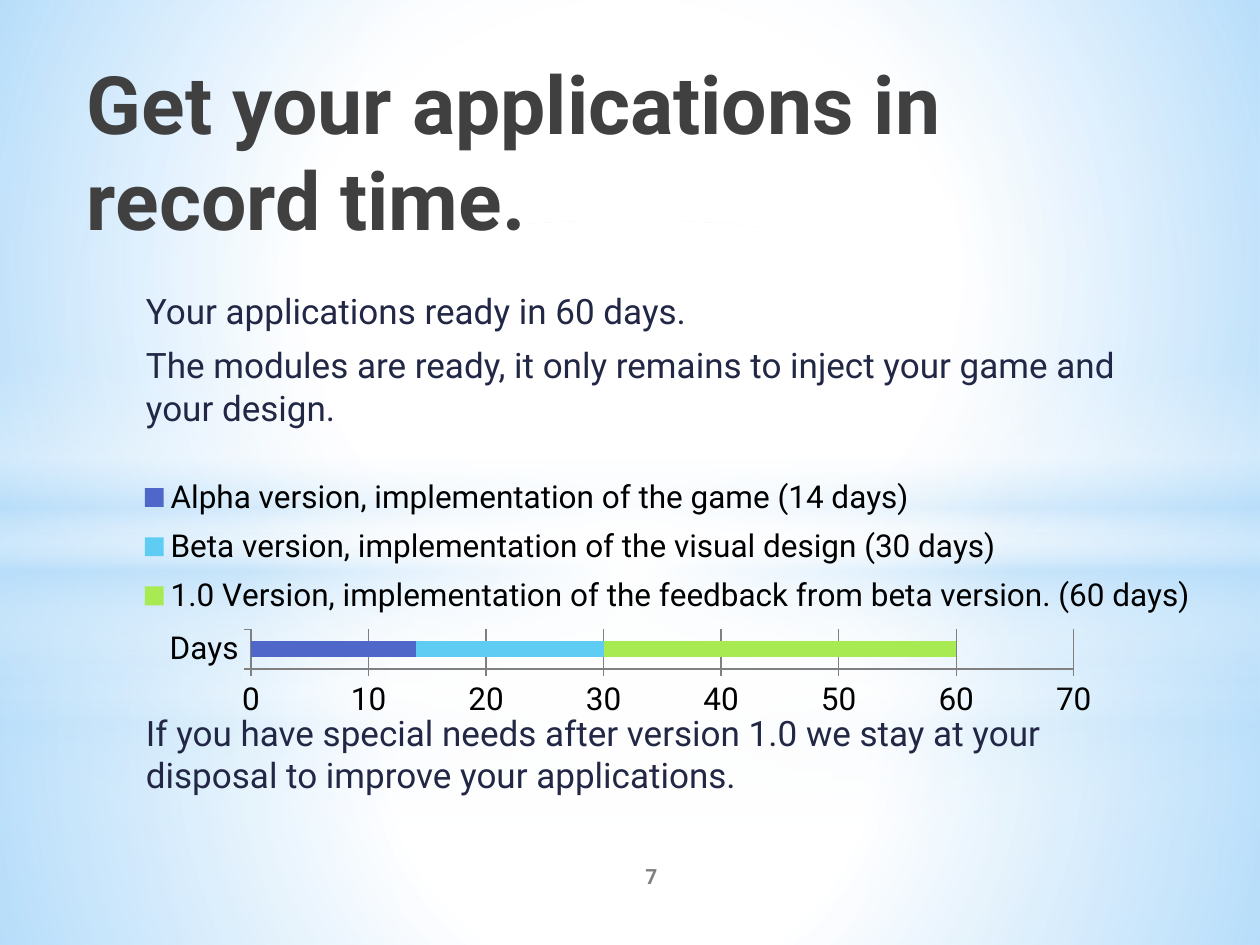
from dataclasses import dataclass

from pptx import Presentation
from pptx.chart.data import CategoryChartData
from pptx.dml.color import RGBColor
from pptx.enum.chart import XL_CHART_TYPE, XL_LEGEND_POSITION, XL_TICK_MARK
from pptx.enum.shapes import MSO_SHAPE
from pptx.enum.text import MSO_ANCHOR, PP_ALIGN
from pptx.oxml import parse_xml
from pptx.oxml.ns import nsdecls
from pptx.util import Pt

RECTANGLE, OVAL = MSO_SHAPE.RECTANGLE, MSO_SHAPE.OVAL
LEFT, CENTER = PP_ALIGN.LEFT, PP_ALIGN.CENTER
TOP, MIDDLE, BOTTOM = MSO_ANCHOR.TOP, MSO_ANCHOR.MIDDLE, MSO_ANCHOR.BOTTOM
STACKED_BAR = XL_CHART_TYPE.BAR_STACKED
LEGEND_RIGHT = XL_LEGEND_POSITION.RIGHT
TICK_OUTSIDE = XL_TICK_MARK.OUTSIDE

FONT = "Roboto"
WHITE = RGBColor(0xFF, 0xFF, 0xFF)
SKY = RGBColor(0xB4, 0xDC, 0xFA)
BLACK = RGBColor(0x00, 0x00, 0x00)
CHARCOAL = RGBColor(0x40, 0x40, 0x40)
NAVY = RGBColor(0x21, 0x27, 0x45)
GRAY = RGBColor(0x80, 0x80, 0x80)
INDIGO = RGBColor(0x4E, 0x67, 0xC8)
CYAN = RGBColor(0x5E, 0xCC, 0xF3)
LIME = RGBColor(0xA7, 0xEA, 0x52)

RADIAL = ('<a:path path="circle"><a:fillToRect l="50000" t="50000" '
          'r="50000" b="50000"/></a:path>')
VERTICAL = '<a:lin ang="5400000" scaled="0"/>'


@dataclass
class Stop:
    position: int
    color: RGBColor
    opacity: int


@dataclass
class Glow:
    geometry: MSO_SHAPE
    top: float
    height: float
    direction: str
    stops: list[Stop]


@dataclass
class TextStyle:
    size: float
    color: RGBColor
    bold: bool = False
    alignment: PP_ALIGN = LEFT
    anchor: MSO_ANCHOR = TOP
    space_before: float = 0
    space_after: float = 0


@dataclass
class Phase:
    name: str
    days: int
    color: RGBColor


def radial_glow(top: float, height: float, middle: int,
                opacities: tuple[int, int, int]) -> Glow:
    stops = [Stop(*stop) for stop in
             zip((0, middle, 100), (WHITE, WHITE, SKY), opacities)]
    return Glow(RECTANGLE, top, height, RADIAL, stops)


def band(top: float) -> Glow:
    stops = [Stop(0, WHITE, 0), Stop(29, WHITE, 30), Stop(45, SKY, 40),
             Stop(55, WHITE, 26), Stop(65, SKY, 60), Stop(100, WHITE, 0)]
    return Glow(RECTANGLE, top, 180, VERTICAL, stops)


def halo(edge: int) -> Glow:
    return Glow(OVAL, 126, 401.76, RADIAL,
                [Stop(0, WHITE, 100), Stop(edge, WHITE, 0)])


BACKGROUND = [
    radial_glow(401.76, 138.24, 37, (91, 76, 79)),
    radial_glow(0, 401.76, 48, (89, 62, 79)),
    band(296.64),
    halo(56),
    radial_glow(304.56, 235.44, 37, (92, 77, 80)),
    radial_glow(0, 304.56, 48, (90, 63, 80)),
    band(208.8),
    halo(54),
]

PHASES = [
    Phase("Alpha version, implementation of the game (14 days)", 14, INDIGO),
    Phase("Beta version, implementation of the visual design (30 days)", 16, CYAN),
    Phase("1.0 Version, implementation of the feedback from beta version. (60 days)",
          30, LIME),
]

TITLE_STYLE = TextStyle(46, CHARCOAL, bold=True, anchor=BOTTOM)
BODY_STYLE = TextStyle(20, NAVY, space_before=4, space_after=3)
NUMBER_STYLE = TextStyle(12, GRAY, bold=True, alignment=CENTER, anchor=MIDDLE)


def add_glow(slide, glow: Glow) -> None:
    shape = slide.shapes.add_shape(glow.geometry, Pt(0), Pt(glow.top),
                                   Pt(720), Pt(glow.height))
    shape.shadow.inherit = False
    shape.line.fill.background()
    stops = "".join(
        f'<a:gs pos="{stop.position * 1000}"><a:srgbClr val="{stop.color}">'
        f'<a:alpha val="{stop.opacity * 1000}"/></a:srgbClr></a:gs>'
        for stop in glow.stops)
    gradient = parse_xml(f'<a:gradFill {nsdecls("a")} rotWithShape="1">'
                         f'<a:gsLst>{stops}</a:gsLst>{glow.direction}</a:gradFill>')
    # The fill belongs right after the position and the geometry
    shape.element.spPr.insert(2, gradient)


def write_text(shape, texts: list[str], style: TextStyle) -> None:
    frame = shape.text_frame
    frame.word_wrap = True
    frame.vertical_anchor = style.anchor
    for index, text in enumerate(texts):
        paragraph = frame.add_paragraph() if index else frame.paragraphs[0]
        paragraph.alignment = style.alignment
        paragraph.space_before = Pt(style.space_before)
        paragraph.space_after = Pt(style.space_after)
        run = paragraph.add_run()
        run.text = text
        run.font.name = FONT
        run.font.size = Pt(style.size)
        run.font.bold = style.bold
        run.font.color.rgb = style.color


def manual_layout(x: float, y: float, width: float, height: float, target: str = ""):
    return parse_xml(
        f'<c:layout {nsdecls("c")}><c:manualLayout>{target}'
        f'<c:xMode val="edge"/><c:yMode val="edge"/><c:x val="{x}"/><c:y val="{y}"/>'
        f'<c:w val="{width}"/><c:h val="{height}"/></c:manualLayout></c:layout>')


def add_schedule(slide, phases: list[Phase]) -> None:
    data = CategoryChartData()
    data.categories = ["Days"]
    for phase in phases:
        data.add_series(phase.name, [phase.days])
    chart = slide.shapes.add_chart(STACKED_BAR, Pt(36.72), Pt(25.92), Pt(663.12),
                                   Pt(481.68), data).chart
    chart.has_title = False
    chart.font.name = FONT
    chart.font.size = Pt(18)
    chart.font.color.rgb = BLACK

    # Bars
    plot = chart.plots[0]
    plot.gap_width, plot.overlap = 150, 100
    plot.vary_by_categories = False
    for series, phase in zip(plot.series, phases):
        series.format.fill.solid()
        series.format.fill.fore_color.rgb = phase.color

    # Axes
    axis = chart.value_axis
    axis.minimum_scale, axis.maximum_scale, axis.major_unit = 0, 70, 10
    axis.has_major_gridlines = True
    axis.major_gridlines.format.line.color.rgb = GRAY
    for each_axis in (chart.category_axis, axis):
        each_axis.major_tick_mark = TICK_OUTSIDE
        each_axis.format.line.color.rgb = GRAY

    # Legend above the bar
    chart.has_legend = True
    legend = chart.legend
    legend.position = LEGEND_RIGHT
    legend.include_in_layout = False
    for old_layout in legend._element.findall("{*}layout"):
        legend._element.remove(old_layout)
    legend._element.find("{*}legendPos").addnext(manual_layout(0.06, 0.5, 0.92, 0.19))

    plot_area = chart.element.find(".//{*}plotArea")
    for old_layout in plot_area.findall("{*}layout"):
        plot_area.remove(old_layout)
    plot_area.insert(0, manual_layout(0.161, 0.693, 0.709, 0.047,
                                      '<c:layoutTarget val="inner"/>'))


def main() -> None:
    presentation = Presentation()
    presentation.slide_width, presentation.slide_height = Pt(720), Pt(540)
    slide = presentation.slides.add_slide(presentation.slide_layouts[5])
    slide.background.fill.solid()
    slide.background.fill.fore_color.rgb = WHITE

    for glow in BACKGROUND:
        add_glow(slide, glow)

    # Title, brought in front of the background
    title = slide.shapes.title
    slide.shapes.element.append(title.element)
    title.left, title.top, title.width, title.height = (
        Pt(42.48), Pt(25.92), Pt(595.44), Pt(118.8))
    write_text(title, ["Get your applications in record time."], TITLE_STYLE)

    # Text before and after the schedule
    introduction = slide.shapes.add_textbox(Pt(76.32), Pt(162), Pt(589.68), Pt(95))
    write_text(introduction, [
        "Your applications ready in 60 days.",
        "The modules are ready, it only remains to inject your game and your design.",
    ], BODY_STYLE)
    closing = slide.shapes.add_textbox(Pt(76.32), Pt(403), Pt(589.68), Pt(76))
    write_text(closing, ["If you have special needs after version 1.0 we stay at your "
                         "disposal to improve your applications."], BODY_STYLE)

    page_number = slide.shapes.add_textbox(Pt(300.24), Pt(486), Pt(144), Pt(28.8))
    write_text(page_number, ["7"], NUMBER_STYLE)
    add_schedule(slide, PHASES)
    presentation.save("out.pptx")


if __name__ == "__main__":
    main()
